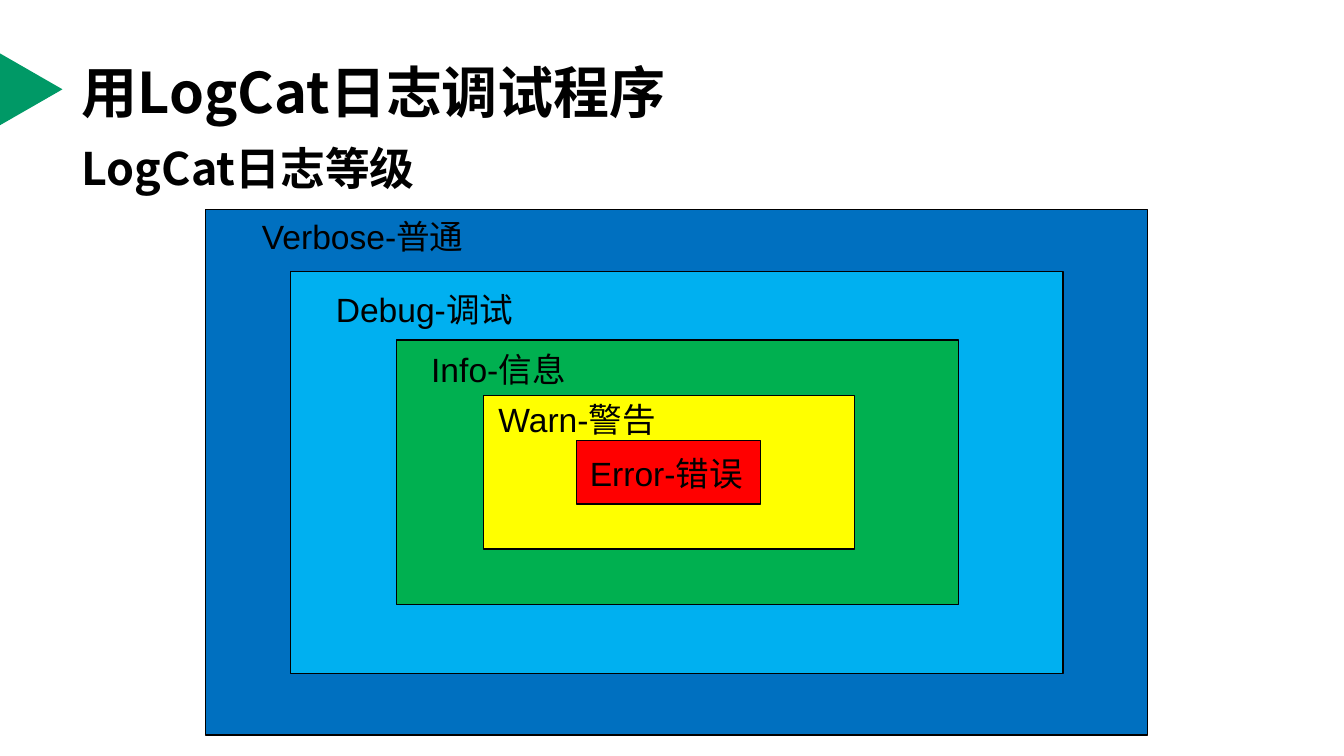
from lxml.etree import SubElement
from pptx import Presentation
from pptx.dml.color import RGBColor
from pptx.enum.shapes import MSO_SHAPE
from pptx.enum.text import MSO_ANCHOR
from pptx.oxml.ns import qn
from pptx.util import Inches, Pt

CJK_FONT = "Noto Sans CJK SC"

# name, fill, (left, width, height) of the rectangle, (left, top) of the label
LEVELS = [
    ("Verbose-普通", "0070C0", (0, 7.01, 3.91), (0.32, 0)),
    ("Debug-调试", "00B0F0", (0.63, 5.75, 2.99), (0.87, 0.54)),
    ("Info-信息", "00B050", (1.42, 4.18, 1.97), (1.58, 0.99)),
    ("Warn-警告", "FFFF00", (2.07, 2.76, 1.14), (2.08, 1.36)),
    ("Error-错误", "FF0000", (2.76, 1.37, 0.47), (2.76, 1.76)),
]


def color(value):
    return RGBColor.from_string(value)


def add_shape(slide, kind, left, top, width, height, fill, line=None):
    shape = slide.shapes.add_shape(
        kind, Inches(left), Inches(top), Inches(width), Inches(height))
    shape.shadow.inherit = False
    shape.fill.solid()
    shape.fill.fore_color.rgb = color(fill)
    if line:
        shape.line.color.rgb = color(line)
        shape.line.width = Pt(0.75)
    else:
        shape.line.fill.background()
    return shape


def add_text(slide, text, left, top, width, height, size=18, font="Arial",
             bold=False, anchor=MSO_ANCHOR.TOP):
    box = slide.shapes.add_textbox(
        Inches(left), Inches(top), Inches(width), Inches(height))
    frame = box.text_frame
    frame.word_wrap = True
    frame.vertical_anchor = anchor
    run = frame.paragraphs[0].add_run()
    run.text = text
    run.font.size = Pt(size)
    run.font.bold = bold
    run.font.color.rgb = color("000000")
    run.font.name = font
    east_asian = SubElement(run.font._element, qn("a:ea"))
    east_asian.set("typeface", CJK_FONT)


def add_heading(slide, left, top, width):
    marker = add_shape(slide, MSO_SHAPE.ISOSCELES_TRIANGLE,
                       left - 0.55, top + 0.22, 0.54, 0.47, "009966")
    marker.rotation = 90
    add_text(slide, "用LogCat日志调试程序", left, top, width, 0.94,
             size=30, font=CJK_FONT, bold=True, anchor=MSO_ANCHOR.MIDDLE)
    add_text(slide, "LogCat日志等级", left, top + 0.79, width, 0.55,
             size=24, font=CJK_FONT, bold=True)


def add_log_levels(slide, left, top, height):
    """Nest the level rectangles around one horizontal axis, labels on top."""
    for _, fill, (offset, level_width, level_height), _ in LEVELS:
        add_shape(slide, MSO_SHAPE.RECTANGLE, left + offset,
                  top + (height - level_height) / 2,
                  level_width, level_height, fill, line="000000")
    for name, _, _, (label_left, label_top) in LEVELS:
        add_text(slide, name, left + label_left, top + label_top, 2.05, 0.4)


def main():
    presentation = Presentation()
    presentation.slide_width = Inches(10)
    presentation.slide_height = Inches(10 * 9 / 16)
    slide = presentation.slides.add_slide(presentation.slide_layouts[6])
    add_heading(slide, 0.51, 0.21, 9)
    add_log_levels(slide, 1.53, 1.56, 3.91)
    presentation.save("out.pptx")


if __name__ == "__main__":
    main()
